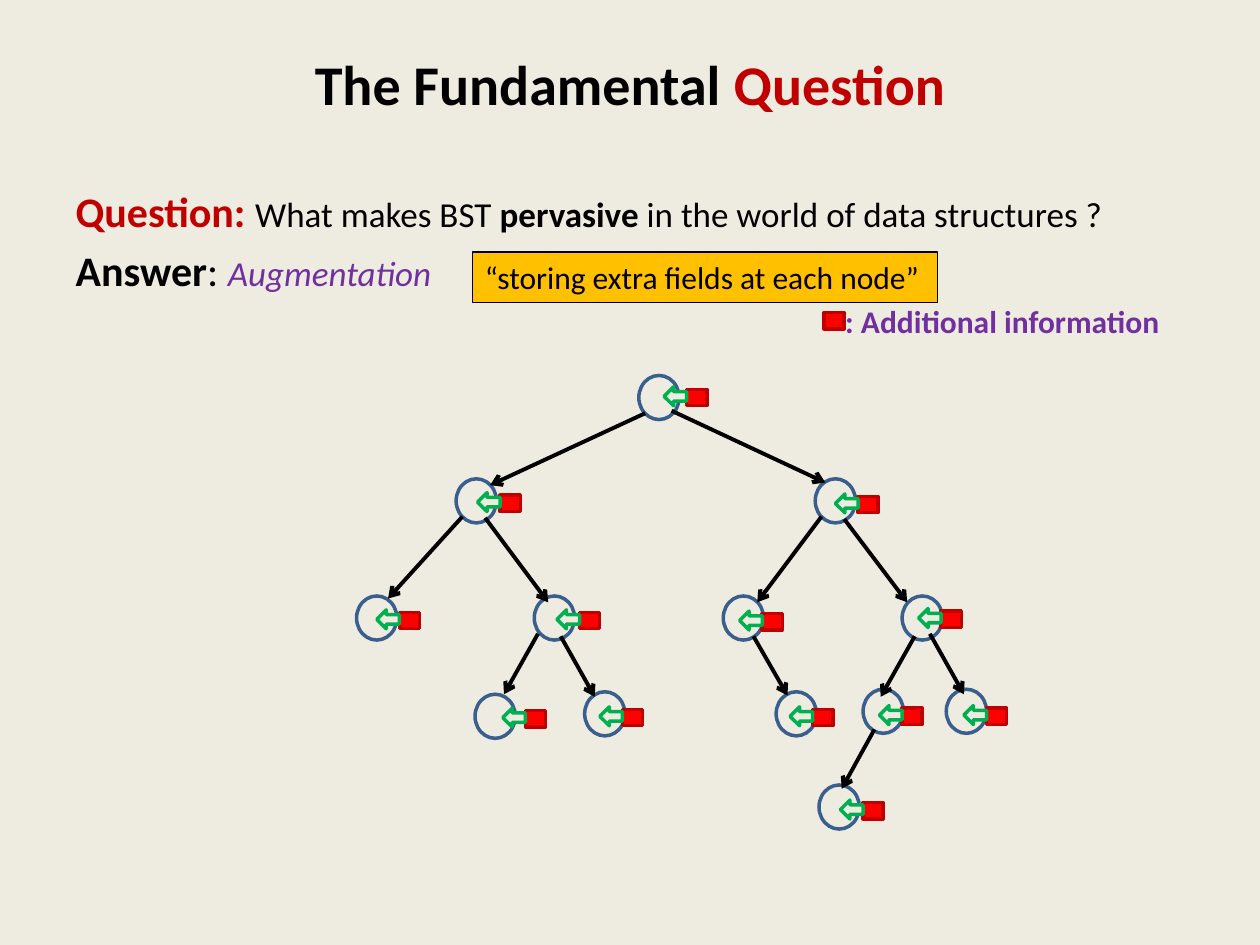
import lxml.etree
import pptx
import pptx.dml.color
import pptx.enum.shapes
import pptx.enum.text
import pptx.oxml.ns
import pptx.util

RGB = pptx.dml.color.RGBColor
SAND = RGB(0xEE, 0xEC, 0xE1)
BLACK = RGB(0, 0, 0)
CRIMSON = RGB(0xC0, 0, 0)
RED = RGB(0xFF, 0, 0)
PURPLE = RGB(0x70, 0x30, 0xA0)
BLUE = RGB(0x3A, 0x5F, 0x8C)
GREEN = RGB(0, 0xB0, 0x50)
AMBER = RGB(0xFF, 0xC0, 0)

KIND = pptx.enum.shapes.MSO_SHAPE
ALIGN = pptx.enum.text.PP_ALIGN
COLS, ROWS = 100, 75
NODE = (3.2, 3.5)
BADGE = (1.6, 1.3)
ARROW = (1.8, 1.5)


class Deck:
    font = "Calibri"

    def __init__(self, wide, high):
        self.show = pptx.Presentation()
        self.show.slide_width = pptx.util.Inches(wide)
        self.show.slide_height = pptx.util.Inches(high)
        self.col = self.show.slide_width / COLS
        self.row = self.show.slide_height / ROWS
        self.slide = self.show.slides.add_slide(self.show.slide_layouts[1])
        self.slide.background.fill.solid()
        self.slide.background.fill.fore_color.rgb = SAND

    def spot(self, x, y):
        return round(x * self.col), round(y * self.row)

    def letter(self, para, runs):
        for text, size, color, form in runs:
            run = para.add_run()
            run.text = text
            look = {"name": self.font, "size": pptx.util.Pt(size),
                    "bold": False, "italic": False, **form}
            for name, value in look.items():
                setattr(run.font, name, value)
            run.font.color.rgb = color

    def place(self, shape, at, size):
        shape.left, shape.top = self.spot(*at)
        shape.width, shape.height = self.spot(*size)

    def title(self, at, size, lines):
        shape = self.slide.shapes.title
        self.place(shape, at, size)
        para = shape.text_frame.paragraphs[0]
        para.alignment = ALIGN.CENTER
        for i, runs in enumerate(lines):
            if i:
                para.add_line_break()
            self.letter(para, runs)

    def body(self, at, size, lines):
        shape = self.slide.placeholders[1]
        self.place(shape, at, size)
        frame = shape.text_frame
        for i, runs in enumerate(lines):
            para = frame.add_paragraph() if i else frame.paragraphs[0]
            props = para._p.get_or_add_pPr()
            props.set("marL", "0")
            props.set("indent", "0")
            lxml.etree.SubElement(props, pptx.oxml.ns.qn("a:buNone"))
            para.space_before = pptx.util.Pt(4.8 if i else 0)
            self.letter(para, runs)

    def paint(self, shape, fill, line, width):
        shape.fill.solid()
        shape.fill.fore_color.rgb = fill
        shape.line.color.rgb = line
        shape.line.width = pptx.util.Pt(width)

    def label(self, at, size, runs):
        box = self.slide.shapes.add_textbox(*self.spot(*at), *self.spot(*size))
        look = {"word_wrap": False,
                "auto_size": pptx.enum.text.MSO_AUTO_SIZE.SHAPE_TO_FIT_TEXT}
        for name, value in look.items():
            setattr(box.text_frame, name, value)
        self.letter(box.text_frame.paragraphs[0], runs)
        return box

    def shape(self, kind, at, size, fill, line, turn=0):
        shape = self.slide.shapes.add_shape(
            kind, *self.spot(*at), *self.spot(*size))
        shape.shadow.inherit = False
        shape.rotation = turn
        self.paint(shape, fill, line, 2)

    def badge(self, at):
        self.shape(KIND.RECTANGLE, at, BADGE, RED, CRIMSON)

    def tag(self, x, y):
        self.badge((x + ARROW[0], y + 0.2))
        self.shape(KIND.RIGHT_ARROW, (x, y), ARROW, SAND, GREEN, 180)

    def edge(self, start, end):
        link = self.slide.shapes.add_connector(
            pptx.enum.shapes.MSO_CONNECTOR.STRAIGHT,
            *self.spot(*start), *self.spot(*end))
        link.line.color.rgb = BLACK
        link.line.width = pptx.util.Pt(2.25)
        props = link._element.spPr
        qn = pptx.oxml.ns.qn
        lxml.etree.SubElement(props.find(qn("a:ln")), qn("a:tailEnd"), type="arrow")
        lxml.etree.SubElement(props, qn("a:effectLst"))


TREE = [
    ((50.7, 29.8), (52.7, 30.7)),
    ((36.2, 38), (37.9, 39.1)),
    ((64.7, 38), (66.3, 39.2)),
    ((28.3, 47.3), (29.9, 48.4)),
    ((42.4, 47.3), (44.2, 48.4)),
    ((57.4, 47.3), (58.7, 48.5)),
    ((71.6, 47.3), (72.9, 48.3)),
    ((37.7, 55.1), (39.9, 56.2)),
    ((46.4, 54.9), (47.6, 56.1)),
    ((61.6, 54.9), (62.7, 56.1)),
    ((68.5, 54.7), (69.8, 56)),
    ((75.1, 54.7), (76.5, 56)),
    ((65, 62.3), (66.7, 63.5)),
]
EDGES = [
    ((51.2, 32.8), (38.9, 38.5)),
    ((53.3, 32.6), (65.5, 38.3)),
    ((36.7, 41), (30.8, 47.5)),
    ((38.5, 41.1), (43.5, 47.8)),
    ((65.2, 41), (60.1, 47.8)),
    ((67, 41.2), (72, 47.8)),
    ((42.7, 50.3), (40, 55.1)),
    ((44.5, 50.5), (47.2, 55.3)),
    ((59.8, 50.5), (62.5, 55.2)),
    ((72.6, 50.5), (69.9, 55.3)),
    ((73.8, 50.3), (76.5, 55.1)),
    ((69.4, 57.9), (66.8, 62.6)),
]
BOLD = {"bold": True}


def main():
    deck = Deck(10, 7.5)
    deck.title((5, 3), (90, 12.5), [
        [("The Fundamental ", 32, BLACK, BOLD), ("Question", 32, CRIMSON, BOLD)],
        [(" ", 32, CRIMSON, BOLD)],
    ])
    deck.body((5, 14.2), (90, 52.8), [
        [("Question: ", 24, CRIMSON, BOLD),
         ("What makes BST ", 20, BLACK, {}),
         ("pervasive", 20, BLACK, BOLD),
         (" in the world of data structures ?", 20, BLACK, {})],
        [("Answer", 24, BLACK, BOLD),
         (": ", 24, BLACK, {}),
         ("Augmentation", 20, PURPLE, {"italic": True})],
    ])
    for node, _ in TREE:
        deck.shape(KIND.OVAL, node, NODE, SAND, BLUE)
    for start, end in EDGES:
        deck.edge(start, end)
    for _, tag in TREE:
        deck.tag(*tag)
    deck.label((66.1, 23.5), (27.2, 4),
               [(": Additional information", 18, PURPLE, BOLD)])
    deck.badge((65.4, 24.8))
    note = deck.label((37.5, 20), (36.9, 4),
                      [("“storing extra fields at each node”", 18, BLACK, {})])
    deck.paint(note, AMBER, BLACK, 0.75)
    deck.show.save("out.pptx")


if __name__ == "__main__":
    main()
